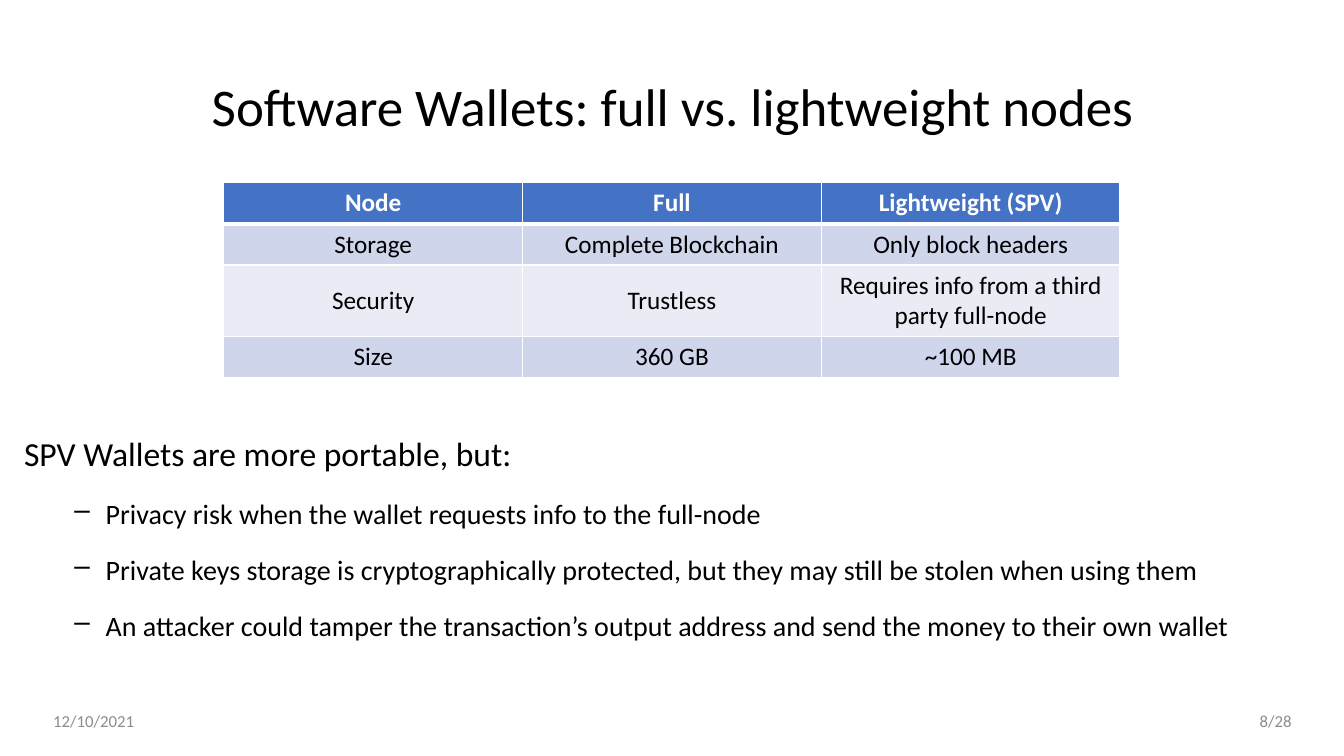
from dataclasses import dataclass

from lxml import etree
from pptx import Presentation
from pptx.dml.color import RGBColor
from pptx.enum.text import MSO_ANCHOR, MSO_AUTO_SIZE, PP_ALIGN
from pptx.oxml.ns import qn
from pptx.util import Inches, Pt

LEFT, CENTER, RIGHT = PP_ALIGN.LEFT, PP_ALIGN.CENTER, PP_ALIGN.RIGHT
TOP, MIDDLE, BOTTOM = MSO_ANCHOR.TOP, MSO_ANCHOR.MIDDLE, MSO_ANCHOR.BOTTOM
NO_FIT = MSO_AUTO_SIZE.NONE
TITLE_ONLY = 5


@dataclass(frozen=True)
class Theme:
    font: str = "Calibri"
    text: str = "000000"
    muted: str = "8C8C8C"
    white: str = "FFFFFF"
    header: str = "4472C4"
    band_dark: str = "CFD5EA"
    band_light: str = "E9EBF5"
    title_size: float = 37.8
    lead_size: float = 24
    bullet_size: float = 20
    table_size: float = 18
    footer_size: float = 12


THEME = Theme()

TITLE = "Software Wallets: full vs. lightweight nodes"
NODE_ROWS = [
    ["Node", "Full", "Lightweight (SPV)"],
    ["Storage", "Complete Blockchain", "Only block headers"],
    ["Security", "Trustless", "Requires info from a third party full-node"],
    ["Size", "360 GB", "~100 MB"],
]
LEAD = "SPV Wallets are more portable, but:"
RISKS = [
    "Privacy risk when the wallet requests info to the full-node",
    "Private keys storage is cryptographically protected, but they may still be stolen when using them",
    "An attacker could tamper the transaction’s output address and send the money to their own wallet",
]


def set_all(target, values):
    for name, value in values.items():
        setattr(target, name, value)


def write(para, text, size, color=THEME.text, bold=False, **layout):
    """Add one formatted run and apply paragraph settings."""
    set_all(para, layout)
    span = para.add_run()
    span.text = text
    set_all(span.font, {"name": THEME.font, "size": Pt(size), "bold": bold})
    span.font.color.rgb = RGBColor.from_string(color)


def place(shape, box, anchor):
    names = ("left", "top", "width", "height")
    set_all(shape, dict(zip(names, map(Inches, box))))
    frame = shape.text_frame
    set_all(frame, {"word_wrap": True, "auto_size": NO_FIT, "vertical_anchor": anchor})
    return frame


def add_text_box(page, box, anchor):
    return place(page.shapes.add_textbox(0, 0, 0, 0), box, anchor)


def add_title(page, box):
    frame = place(page.shapes.title, box, BOTTOM)
    write(frame.paragraphs[0], TITLE, THEME.title_size,
          alignment=CENTER, line_spacing=0.7, space_after=Pt(6))


def add_footer(page, box, text, alignment):
    frame = add_text_box(page, box, MIDDLE)
    write(frame.paragraphs[0], text, THEME.footer_size, THEME.muted,
          alignment=alignment, space_after=Pt(6))


def add_borders(cell, bottom_width):
    properties = cell._tc.get_or_add_tcPr()
    for side, width in (("L", 1), ("R", 1), ("T", 1), ("B", bottom_width)):
        line = etree.SubElement(properties, qn(f"a:ln{side}"), w=str(Pt(width)))
        fill = etree.SubElement(line, qn("a:solidFill"))
        etree.SubElement(fill, qn("a:srgbClr"), val=THEME.white)


def add_node_table(page, box):
    left, top, width, row_height = map(Inches, box)
    row_count, column_count = len(NODE_ROWS), len(NODE_ROWS[0])
    table = page.shapes.add_table(row_count, column_count, left, top,
                                  width, row_height * row_count).table
    for row_index, values in enumerate(NODE_ROWS):
        is_header = row_index == 0
        band = THEME.band_dark if row_index % 2 else THEME.band_light
        for column_index, text in enumerate(values):
            cell = table.cell(row_index, column_index)
            cell.vertical_anchor = MIDDLE
            add_borders(cell, 3 if is_header else 1)
            cell.fill.solid()
            cell.fill.fore_color.rgb = RGBColor.from_string(THEME.header if is_header else band)
            write(cell.text_frame.paragraphs[0], text, THEME.table_size,
                  THEME.white if is_header else THEME.text, is_header, alignment=CENTER)


def add_dash(para):
    properties = para._p.get_or_add_pPr()
    properties.set("marL", str(Inches(0.81)))
    properties.set("indent", str(Inches(-0.31)))
    etree.SubElement(properties, qn("a:buChar"), char="–")


def add_risks(page, box):
    frame = add_text_box(page, box, TOP)
    spacing = {"alignment": LEFT, "line_spacing": 1.5}
    write(frame.paragraphs[0], LEAD, THEME.lead_size,
          space_before=Pt(THEME.lead_size * 0.2), **spacing)
    for risk in RISKS:
        para = frame.add_paragraph()
        write(para, risk, THEME.bullet_size, level=1,
              space_before=Pt(THEME.bullet_size * 0.2), **spacing)
        add_dash(para)


def main():
    deck = Presentation()
    set_all(deck, {"slide_width": Inches(13.33), "slide_height": Inches(7.5)})
    page = deck.slides.add_slide(deck.slide_layouts[TITLE_ONLY])

    # Heading and comparison
    add_title(page, (1.64, 0.37, 10.06, 1.02))
    add_node_table(page, (2.22, 1.81, 8.89, 0.41))

    # Drawbacks of lightweight wallets
    add_risks(page, (0.14, 4.05, 13.19, 2.51))

    # Date and page number
    add_footer(page, (0.43, 6.95, 3, 0.4), "12/10/2021", LEFT)
    add_footer(page, (9.91, 6.95, 3, 0.4), "8/28", RIGHT)

    deck.save("out.pptx")


if __name__ == "__main__":
    main()
